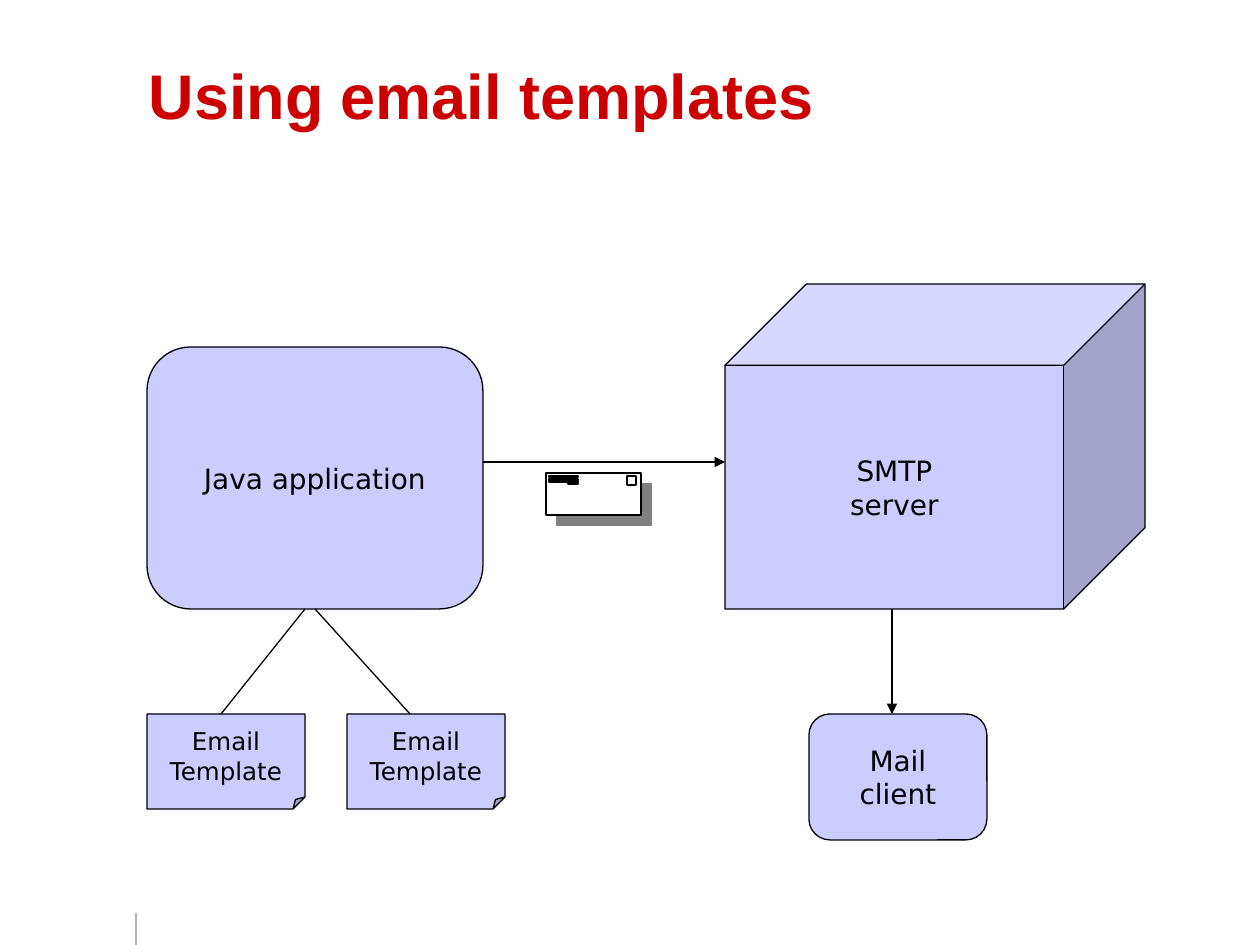
from copy import deepcopy
from lxml.etree import SubElement
from pptx import Presentation
from pptx.dml.color import RGBColor
from pptx.enum.shapes import MSO_CONNECTOR, MSO_SHAPE
from pptx.enum.text import MSO_ANCHOR, PP_ALIGN
from pptx.oxml.ns import qn
from pptx.util import Pt

SCALE = 914400 / 126
COLORS = {"fill": "CCCCFF", "ink": "000000", "title": "CC0000",
          "rule": "B2B2B2", "paper": "FFFFFF", "shade": "808080"}
TITLE = "Using email templates"
NODES = [  # kind, adjust, box, lines, text size
    ("ROUNDED_RECTANGLE", 16667, (147, 347, 336, 262), ["Java application"], 16),
    ("CUBE", 25000, (725, 284, 420, 325), ["SMTP", "server"], 16),
    ("ROUNDED_RECTANGLE", 16667, (809, 714, 178, 126), ["Mail", "client"], 16),
] + [("FOLDED_CORNER", 12500, (x, 714, 158, 95), ["Email", "Template"], 14)
     for x in (147, 347)]
LINES = [  # ends, colour, arrow
    ((136, 913, 136, 945), "rule", False),
    ((483, 462, 725, 462), "ink", True),
    ((892, 609, 892, 714), "ink", True),
    ((305, 609, 221, 714), "ink", False),
    ((315, 609, 410, 714), "ink", False),
]
LETTER = [(546, 473, 95, 42), (627, 476, 9, 9), (549, 476, 29, 1),
          (549, 479, 29, 1), (549, 481, 29, 1), (568, 483, 10, 1)]


def emu(*vals):
    """Turn pixels into EMU."""
    return [round(v * SCALE) for v in vals]


def rgb(name):
    """Look up a colour."""
    return RGBColor.from_string(COLORS[name])


def style(obj, vals):
    """Set attributes from a dict."""
    for key, val in vals.items():
        setattr(obj, key, val)


def stroke(shape, color="ink"):
    """Draw a thin outline."""
    shape.line.width = Pt(0.74)
    shape.line.color.rgb = rgb(color)


def paint(shape, color):
    """Fill and outline a shape."""
    shape.shadow.inherit = False
    shape.fill.solid()
    shape.fill.fore_color.rgb = rgb(color)
    stroke(shape)


def write(frame, lines, font, color, para):
    """Put lines of text in a frame."""
    frame.text = "\n".join(lines)
    for par in frame.paragraphs:
        style(par, para)
        for run in par.runs:
            style(run.font, font)
            run.font.color.rgb = rgb(color)


def node(kind, adjust, box, lines, size):
    """Add a labelled shape."""
    shape = shapes.add_shape(getattr(MSO_SHAPE, kind), *emu(*box))
    guides = next(shape._element.spPr.iter(qn("a:avLst")))
    for guide in list(guides):
        guides.remove(guide)
    SubElement(guides, qn("a:gd"), name="adj", fmla=f"val {adjust}")
    paint(shape, "fill")
    style(shape.text_frame, {"word_wrap": False,
                             "vertical_anchor": MSO_ANCHOR.MIDDLE})
    write(shape.text_frame, lines, {"name": "DejaVu Sans", "size": Pt(size)},
          "ink", {"alignment": PP_ALIGN.CENTER})


def link(ends, color, arrow):
    """Add a line, with or without an arrowhead."""
    line = shapes.add_connector(MSO_CONNECTOR.STRAIGHT, *emu(*ends))
    stroke(line, color)
    props = line._element.spPr
    if arrow:
        SubElement(props.find(qn("a:ln")), qn("a:tailEnd"), type="triangle")
    SubElement(props, qn("a:effectLst"))


def letter(rects):
    """Add the envelope as one outline, each part a path of its own."""
    pen = shapes.build_freeform(*rects[0][:2], scale=SCALE)
    for i, (x, y, w, h) in enumerate(rects):
        if i:
            pen.move_to(x, y)
        pen.add_line_segments([(x + w, y), (x + w, y + h), (x, y + h)])
    shape = pen.convert_to_shape()
    paint(shape, "paper")
    props = shape._element.spPr
    whole = next(props.iter(qn("a:path")))
    paths = whole.getparent()
    for step in list(whole):
        if step.tag == qn("a:moveTo"):
            part = SubElement(paths, qn("a:path"), dict(whole.attrib))
        part.append(deepcopy(step))
    paths.remove(whole)
    cast = SubElement(props.find(qn("a:effectLst")), qn("a:outerShdw"),
                      dist=str(int(Pt(8.5))), dir="2700000", algn="ctr",
                      rotWithShape="0")
    SubElement(cast, qn("a:srgbClr"), val=COLORS["shade"])


deck = Presentation()
style(deck, dict(zip(("slide_width", "slide_height"), emu(1260, 945))))
slide = deck.slides.add_slide(deck.slide_layouts[5])
shapes = slide.shapes
title = shapes.title
style(title, dict(zip(("left", "top", "width", "height"), emu(136, 21, 1071, 158))))
style(title.text_frame, {"word_wrap": True, "vertical_anchor": MSO_ANCHOR.MIDDLE})
write(title.text_frame, [TITLE], {"name": "Arial", "size": Pt(36), "bold": True},
      "title", {"alignment": PP_ALIGN.LEFT, "line_spacing": 0.85})
for item in NODES:
    node(*item)
for item in LINES:
    link(*item)
letter(LETTER)
deck.save("out.pptx")
